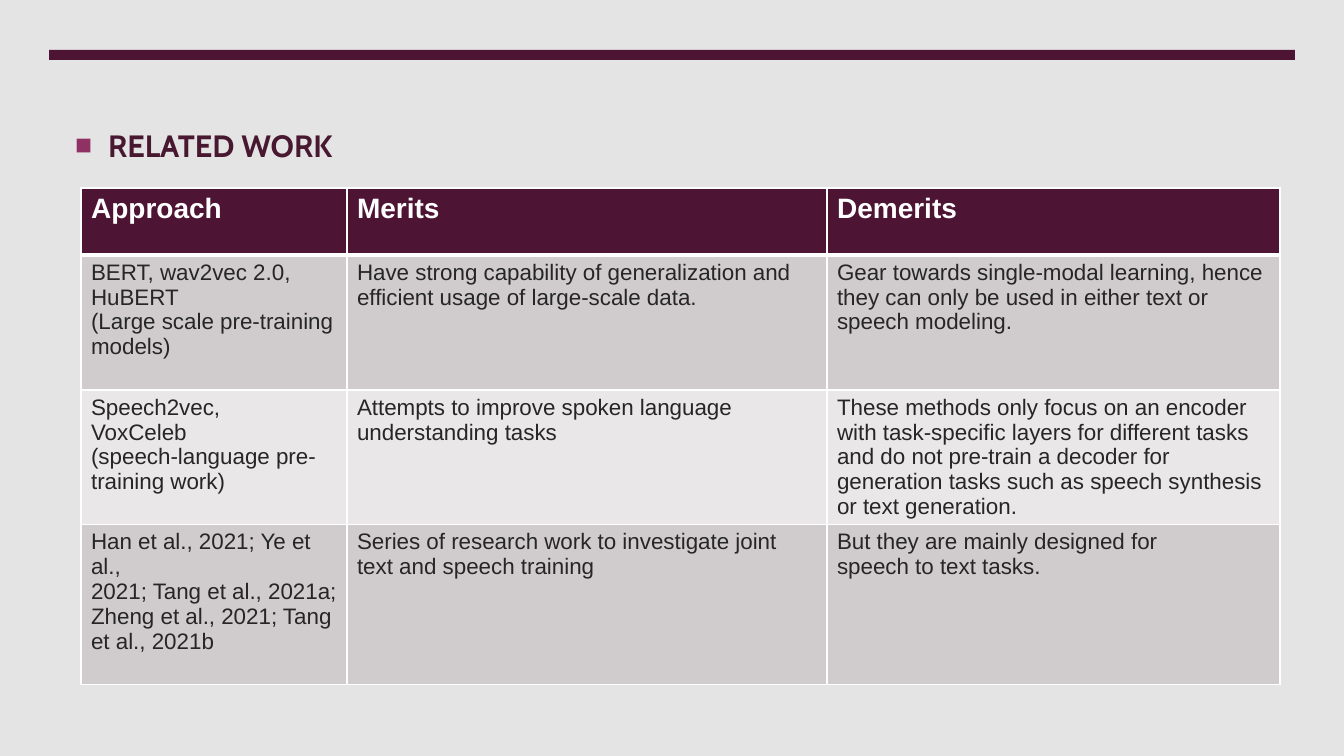
from lxml.etree import SubElement
from pptx import Presentation
from pptx.dml.color import RGBColor
from pptx.enum.shapes import MSO_SHAPE
from pptx.enum.text import MSO_ANCHOR, MSO_AUTO_SIZE, PP_ALIGN
from pptx.oxml import parse_xml
from pptx.oxml.ns import nsdecls, qn
from pptx.util import Pt

PIXEL = 914400 / 100.8
BACKGROUND = RGBColor(0xE4, 0xE4, 0xE4)
PLUM = RGBColor(0x4D, 0x14, 0x34)
TITLE_COLOR = RGBColor(0x48, 0x18, 0x31)
BULLET_COLOR = RGBColor(0x90, 0x31, 0x63)
WHITE = RGBColor(0xFF, 0xFF, 0xFF)
TEXT_COLOR = RGBColor(0x26, 0x26, 0x26)
DARK_BAND = RGBColor(0xD0, 0xCC, 0xCE)
LIGHT_BAND = RGBColor(0xE9, 0xE7, 0xE8)


def px(*values):
    return [round(value * PIXEL) for value in values]


def write(frame, text, size, color, font="Arial", bold=False):
    frame.word_wrap = True
    frame.text = text
    for paragraph in frame.paragraphs:
        paragraph.alignment = PP_ALIGN.LEFT
        for run in paragraph.runs:
            run.font.name = font
            run.font.size = Pt(size)
            run.font.bold = bold
            run.font.color.rgb = color


presentation = Presentation()
presentation.slide_width, presentation.slide_height = px(1344, 756)
slide = presentation.slides.add_slide(presentation.slide_layouts[5])
slide.background.fill.solid()
slide.background.fill.fore_color.rgb = BACKGROUND

bar = slide.shapes.add_shape(MSO_SHAPE.RECTANGLE, *px(49, 50, 1246, 10))
bar.shadow.inherit = False
bar.fill.solid()
bar.fill.fore_color.rgb = PLUM
bar.line.fill.background()

title = slide.shapes.title
title.left, title.top, title.width, title.height = px(65, 120, 1215, 50)
write(title.text_frame, "RELATED WORK", 22, TITLE_COLOR, font="Cabin", bold=True)
title.text_frame.auto_size = MSO_AUTO_SIZE.NONE
title.text_frame.vertical_anchor = MSO_ANCHOR.MIDDLE
indent = px(33)[0]
properties = title.text_frame.paragraphs[0]._p.get_or_add_pPr()
properties.set("marL", str(indent))
properties.set("indent", str(-indent))
bullet_color = SubElement(properties, qn("a:buClr"))
SubElement(bullet_color, qn("a:srgbClr"), val=str(BULLET_COLOR))
SubElement(properties, qn("a:buSzPct"), val="92000")
SubElement(properties, qn("a:buFont"), typeface="Arial")
SubElement(properties, qn("a:buChar"), char="■")

column_widths = [266, 480, 453]
row_heights = [67, 135, 134, 160]
rows = [
    ["Approach", "Merits", "Demerits"],
    [
        "BERT, wav2vec 2.0, HuBERT\n(Large scale pre-training models)",
        "Have strong capability of generalization and efficient usage of large-scale data.",
        "Gear towards single-modal learning, hence they can only be used in either "
        "text or speech modeling.",
    ],
    [
        "Speech2vec,\nVoxCeleb\n(speech-language pre-training work)",
        "Attempts to improve spoken language understanding tasks",
        "These methods only focus on an encoder with task-specific layers for different "
        "tasks and do not pre-train a decoder for generation tasks such as speech "
        "synthesis or text generation.",
    ],
    [
        "Han et al., 2021; Ye et al.,\n2021; Tang et al., 2021a; Zheng et al., 2021; Tang\n"
        "et al., 2021b",
        "Series of research work to investigate joint text and speech training",
        "But they are mainly designed for\nspeech to text tasks.",
    ],
]
table = slide.shapes.add_table(
    len(rows), len(column_widths), *px(81, 188, sum(column_widths), sum(row_heights))
).table
for column, width in zip(table.columns, px(*column_widths)):
    column.width = width
for row, height in zip(table.rows, px(*row_heights)):
    row.height = height

for row_index, texts in enumerate(rows):
    header = row_index == 0
    band = PLUM if header else DARK_BAND if row_index % 2 else LIGHT_BAND
    for column_index, text in enumerate(texts):
        cell = table.cell(row_index, column_index)
        write(cell.text_frame, text, 20 if header else 16,
              WHITE if header else TEXT_COLOR, bold=header)
        cell.fill.solid()
        cell.fill.fore_color.rgb = band
        thick_side = {0: "lnB", 1: "lnT"}.get(row_index)
        for position, side in enumerate(["lnL", "lnR", "lnT", "lnB"]):
            width = Pt(3 if side == thick_side else 1)
            border = parse_xml(
                f'<a:{side} {nsdecls("a")} w="{width}"><a:solidFill>'
                f'<a:srgbClr val="{WHITE}"/></a:solidFill></a:{side}>'
            )
            cell._tc.get_or_add_tcPr().insert(position, border)

presentation.save("out.pptx")
